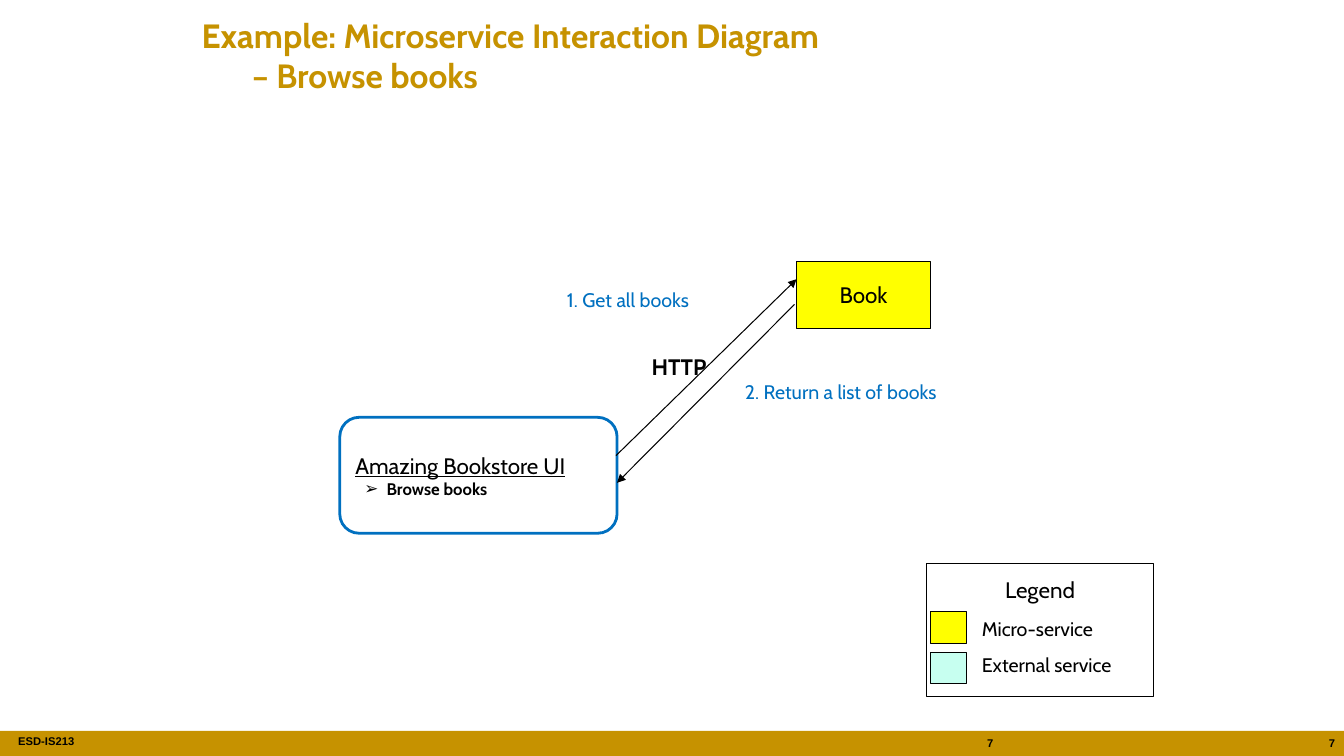
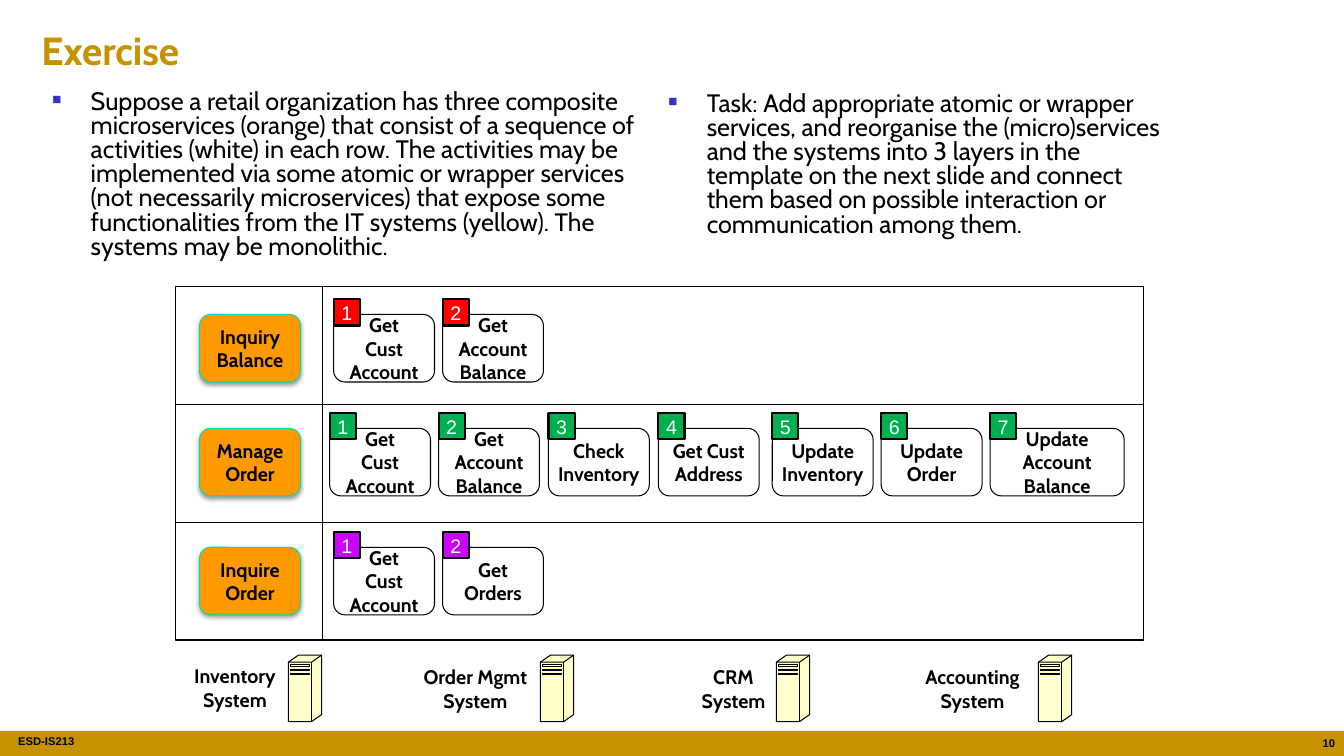
from lxml import etree
from pptx import Presentation
from pptx.dml.color import RGBColor
from pptx.enum.shapes import MSO_CONNECTOR, MSO_SHAPE
from pptx.enum.text import MSO_ANCHOR, MSO_AUTO_SIZE, PP_ALIGN
from pptx.oxml import parse_xml
from pptx.oxml.ns import nsdecls, qn
from pptx.util import Inches, Pt

COLOURS = {
    "gold": "C69200", "black": "000000", "white": "FFFFFF", "blue": "0070C0",
    "yellow": "FFFF00", "mint": "C7FFF0", "orange": "FF9900", "teal": "00DFA4",
    "cream": "FFFFCC", "red": "FF0000", "green": "00B050", "purple": "CC00FF",
    "bullet": "3333CC",
}
RGB = {name: RGBColor.from_string(value) for name, value in COLOURS.items()}
LEFT, CENTRE, RIGHT = PP_ALIGN.LEFT, PP_ALIGN.CENTER, PP_ALIGN.RIGHT
RECT, ROUNDED = MSO_SHAPE.RECTANGLE, MSO_SHAPE.FLOWCHART_ALTERNATE_PROCESS


def write(shape, text, size, colour="black", bold=False, font="Cabin",
          align=LEFT, anchor=MSO_ANCHOR.MIDDLE, wrap=True):
    frame = shape.text_frame
    frame.text = text
    frame.word_wrap = wrap
    frame.auto_size = MSO_AUTO_SIZE.NONE
    frame.vertical_anchor = anchor
    for paragraph in frame.paragraphs:
        paragraph.alignment = align
        paragraph.font.name = font
        paragraph.font.size = Pt(size)
        paragraph.font.bold = bold
        paragraph.font.color.rgb = RGB[colour]
    return shape


def add_box(shapes, kind, left, top, width, height, fill=None, line="black", weight=0.75):
    """Add a preset shape; fill or line None means invisible."""
    box = shapes.add_shape(kind, Inches(left), Inches(top), Inches(width), Inches(height))
    box.shadow.inherit = False
    if fill:
        box.fill.solid()
        box.fill.fore_color.rgb = RGB[fill]
    else:
        box.fill.background()
    if line:
        box.line.color.rgb = RGB[line]
        box.line.width = Pt(weight)
    else:
        box.line.fill.background()
    return box


prs = Presentation()
prs.slide_width, prs.slide_height = Inches(13.33), Inches(7.5)

# Titles and page numbers
slides = []
for layout, title, size, at, page, page_lefts in [
    (5, "Example: Microservice Interaction Diagram\v\t– Browse books", 24,
     (1.9, 0.09, 9.54, 0.91), "7", (9.56, 12.95)),
    (3, "Exercise", 28, (0.31, 0.21, 12.72, 0.57), "10", (12.95,)),
]:
    slide = prs.slides.add_slide(prs.slide_layouts[layout])
    heading = slide.shapes.title
    heading.left, heading.top, heading.width, heading.height = map(Inches, at)
    write(heading, title, size, "gold", bold=True)
    for left in page_lefts:
        number = slide.shapes.add_textbox(Inches(left), Inches(7.26), Inches(0.39), Inches(0.24))
        write(number, page, 8, bold=True, font="Arial", align=RIGHT, anchor=MSO_ANCHOR.TOP)
    slides.append(slide)
interaction, exercise = slides

# Footer band and course code, moved to the slide master
band = add_box(interaction.shapes, RECT, 0, 7.25, 13.33, 0.25, "gold", None)
course = interaction.shapes.add_textbox(Inches(0.18), Inches(7.24), Inches(1.72), Inches(0.25))
write(course, "ESD-IS213", 8, bold=True, font="Arial", anchor=MSO_ANCHOR.TOP)
course.text_frame.margin_left = course.text_frame.margin_right = 0
for shape_id, part in enumerate((band, course), 101):
    part.element.xpath(".//p:cNvPr")[0].set("id", str(shape_id))
    prs.slide_master.shapes.element.append(part.element)

bullets = []     # paragraph, character, colour, percent, indent, hanging
connectors = []  # connector, has arrowhead

# Interaction diagram
shapes = interaction.shapes
store = add_box(shapes, ROUNDED, 3.37, 4.14, 2.75, 1.15, line="blue", weight=2)
write(store, "Amazing Bookstore UI\nBrowse books", 16)
store_name, feature = store.text_frame.paragraphs
store_name.font.underline = True
feature.font.size = Pt(12)
feature.font.bold = True
bullets.append((feature, "➢", "black", 100, 0.31, 0.22))

book = add_box(shapes, RECT, 7.9, 2.59, 1.33, 0.67, "yellow")
write(book, "Book", 16, align=CENTRE)

for x1, y1, x2, y2 in [(6.11, 4.52, 7.9, 2.77), (7.88, 3.02, 6.12, 4.79)]:
    arrow = shapes.add_connector(MSO_CONNECTOR.STRAIGHT, *map(Inches, (x1, y1, x2, y2)))
    connectors.append((arrow, True))

for text, left, top, width, size, colour, bold in [
    ("1. Get all books", 5.05, 2.81, 2.36, 14, "blue", False),
    ("2. Return a list of books", 7.16, 3.72, 2.36, 14, "blue", False),
    ("HTTP", 6.34, 3.45, 0.79, 16, "black", True),
]:
    label = shapes.add_textbox(Inches(left), Inches(top), Inches(width), Inches(0.35))
    write(label, text, size, colour, bold, align=CENTRE, anchor=MSO_ANCHOR.TOP, wrap=False)

legend = shapes.add_group_shape().shapes
frame = add_box(legend, RECT, 9.19, 5.59, 2.25, 1.32, "white")
write(frame, "Legend", 16, align=CENTRE, anchor=MSO_ANCHOR.TOP)
frame.text_frame.margin_top = Inches(0.13)
for text, colour, top, text_top in [
    ("Micro-service", "yellow", 6.07, 6.07),
    ("External service", "mint", 6.47, 6.43),
]:
    add_box(legend, RECT, 9.23, top, 0.36, 0.31, colour)
    entry = legend.add_textbox(Inches(9.64), Inches(text_top), Inches(1.7), Inches(0.33))
    write(entry, text, 14)

# Exercise: instructions
shapes = exercise.shapes
for index, at, text in [
    (1, (0.42, 0.85, 6.1, 1.84),
     "Suppose a retail organization has three composite microservices (orange) that "
     "consist of a sequence of activities (white) in each row. The activities may be "
     "implemented via some atomic or wrapper services (not necessarily microservices) "
     "that expose some functionalities from the IT systems (yellow). The systems may "
     "be monolithic."),
    (2, (6.53, 0.87, 5.08, 1.73),
     "Task: Add appropriate atomic or wrapper services, and reorganise the "
     "(micro)services and the systems into 3 layers in the template on the next slide "
     "and connect them based on possible interaction or communication among them."),
]:
    body = exercise.placeholders[index]
    body.left, body.top, body.width, body.height = map(Inches, at)
    write(body, text, 18, anchor=MSO_ANCHOR.TOP)
    instruction = body.text_frame.paragraphs[0]
    instruction.line_spacing = 0.8
    instruction.space_before = Pt(3.6)
    bullets.append((instruction, "■", "bullet", 60, 0.38, 0.38))

# Exercise: one row per composite service
ROW_TOP, ROW_HEIGHT = 2.84, 1.17
BOX_WIDTH, BOX_HEIGHT, BADGE = 1, 0.67, 0.26
rows = [
    ("Inquiry\nBalance", "red", 3.12,
     [(3.31, "Get\nCust\nAccount"), (4.39, "Get\nAccount\nBalance")]),
    ("Manage\nOrder", "green", 4.25,
     [(3.27, "Get\nCust\nAccount"), (4.35, "Get\nAccount\nBalance"),
      (5.44, "Check\nInventory"), (6.53, "Get Cust\nAddress"),
      (7.66, "Update\nInventory"), (8.74, "Update\nOrder"),
      (9.82, "Update\nAccount\nBalance")]),
    ("Inquire\nOrder", "purple", 5.43,
     [(3.31, "Get\nCust\nAccount"), (4.39, "Get\nOrders")]),
]
for row, (service, badge_colour, top, activities) in enumerate(rows):
    row_top = ROW_TOP + row * ROW_HEIGHT
    add_box(shapes, RECT, 1.74, row_top, 9.6, ROW_HEIGHT)
    divider = shapes.add_connector(MSO_CONNECTOR.STRAIGHT, Inches(3.2), Inches(row_top),
                                   Inches(3.2), Inches(row_top + ROW_HEIGHT))
    connectors.append((divider, False))

    composite = add_box(shapes, ROUNDED, 1.98, top, BOX_WIDTH, BOX_HEIGHT, "orange", "teal")
    write(composite, service, 14, bold=True, align=CENTRE, wrap=False)
    composite.element.spPr.find(qn("a:effectLst")).append(parse_xml(
        f'<a:outerShdw {nsdecls("a")} blurRad="40000" dist="20000" dir="5400000" '
        f'rotWithShape="0"><a:srgbClr val="{COLOURS["black"]}"><a:alpha val="38000"/>'
        '</a:srgbClr></a:outerShdw>'))

    for step, (left, text) in enumerate(activities, 1):
        width = 1.33 if step == 7 else BOX_WIDTH
        activity = add_box(shapes, ROUNDED, left, top, width, BOX_HEIGHT, "white")
        write(activity, text, 14, bold=True, align=CENTRE, wrap=False)
        badge = add_box(shapes, RECT, left, top - 0.15, BADGE, BADGE, badge_colour, weight=1.5)
        write(badge, str(step), 14, "white", font="Arial", align=CENTRE)
        margins = badge.text_frame
        margins.margin_left = margins.margin_right = 0
        margins.margin_top = margins.margin_bottom = 0

# Exercise: IT systems, server outlines in hundredths of an inch
casing = [(0, 7), (10, 0), (33, 0), (33, 59), (23, 66), (0, 66)]
edges = [[(0, 7), (23, 7), (33, 0)], [(23, 7), (23, 66)]]
for slot_top, slot_bottom in [(9, 11), (14, 15), (18, 19)]:
    edges.append([(2, slot_top), (21, slot_top), (21, slot_bottom), (2, slot_bottom),
                  (2, slot_top)])

for system, text_left, text_top, text_width, server_left in [
    ("Inventory\nSystem", 1.74, 6.54, 1.18, 2.86),
    ("Order Mgmt\nSystem", 4.02, 6.55, 1.39, 5.36),
    ("CRM\nSystem", 6.8, 6.55, 0.95, 7.7),
    ("Accounting\nSystem", 8.99, 6.55, 1.31, 10.3),
]:
    for contours, closed in [([casing], True), (edges, False)]:
        outline = shapes.build_freeform(*contours[0][0], scale=Inches(0.01))
        outline.add_line_segments(contours[0][1:], close=closed)
        for contour in contours[1:]:
            outline.move_to(*contour[0])
            outline.add_line_segments(contour[1:], close=False)
        server = outline.convert_to_shape(Inches(server_left), Inches(6.5))
        server.shadow.inherit = False
        server.line.color.rgb = RGB["black"]
        server.line.width = Pt(0.75)
        if closed:
            server.fill.solid()
            server.fill.fore_color.rgb = RGB["cream"]
        else:
            server.fill.background()
    label = shapes.add_textbox(Inches(text_left), Inches(text_top),
                               Inches(text_width), Inches(0.57))
    write(label, system, 14, bold=True, align=CENTRE, anchor=MSO_ANCHOR.TOP, wrap=False)

# Connector and bullet formatting
for connector, has_arrowhead in connectors:
    connector.line.color.rgb = RGB["black"]
    connector.line.width = Pt(0.75)
    if has_arrowhead:
        etree.SubElement(connector.line._get_or_add_ln(), qn("a:tailEnd"), type="triangle")
    etree.SubElement(connector.element.spPr, qn("a:effectLst"))

for paragraph, character, colour, percent, indent, hanging in bullets:
    properties = paragraph._p.get_or_add_pPr()
    properties.set("marL", str(Inches(indent)))
    properties.set("indent", str(-Inches(hanging)))
    bullet_parts = parse_xml(
        f'<a:pPr {nsdecls("a")}><a:buClr><a:srgbClr val="{COLOURS[colour]}"/></a:buClr>'
        f'<a:buSzPct val="{percent * 1000}"/><a:buFont typeface="Arial"/>'
        f'<a:buChar char="{character}"/></a:pPr>')
    first_run_style = properties.find(qn("a:defRPr"))
    for part in list(bullet_parts):
        first_run_style.addprevious(part)

prs.save("out.pptx")
